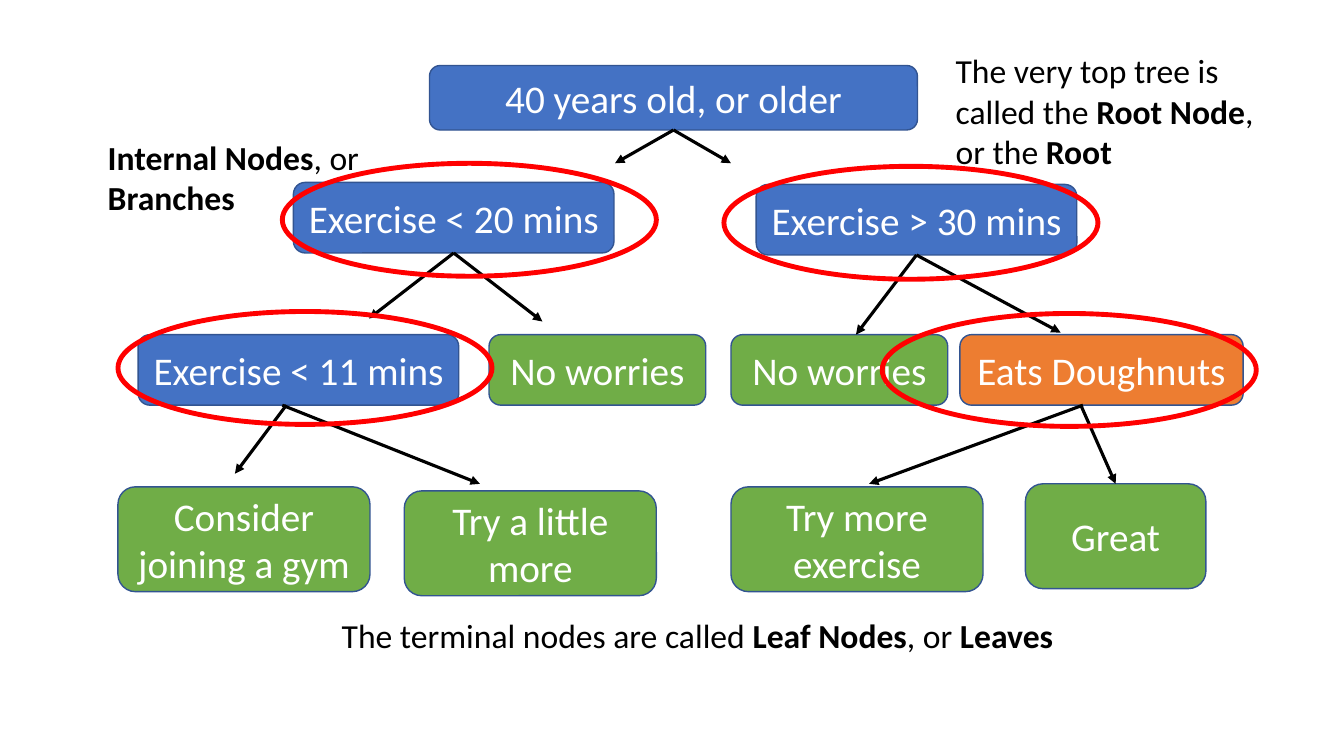
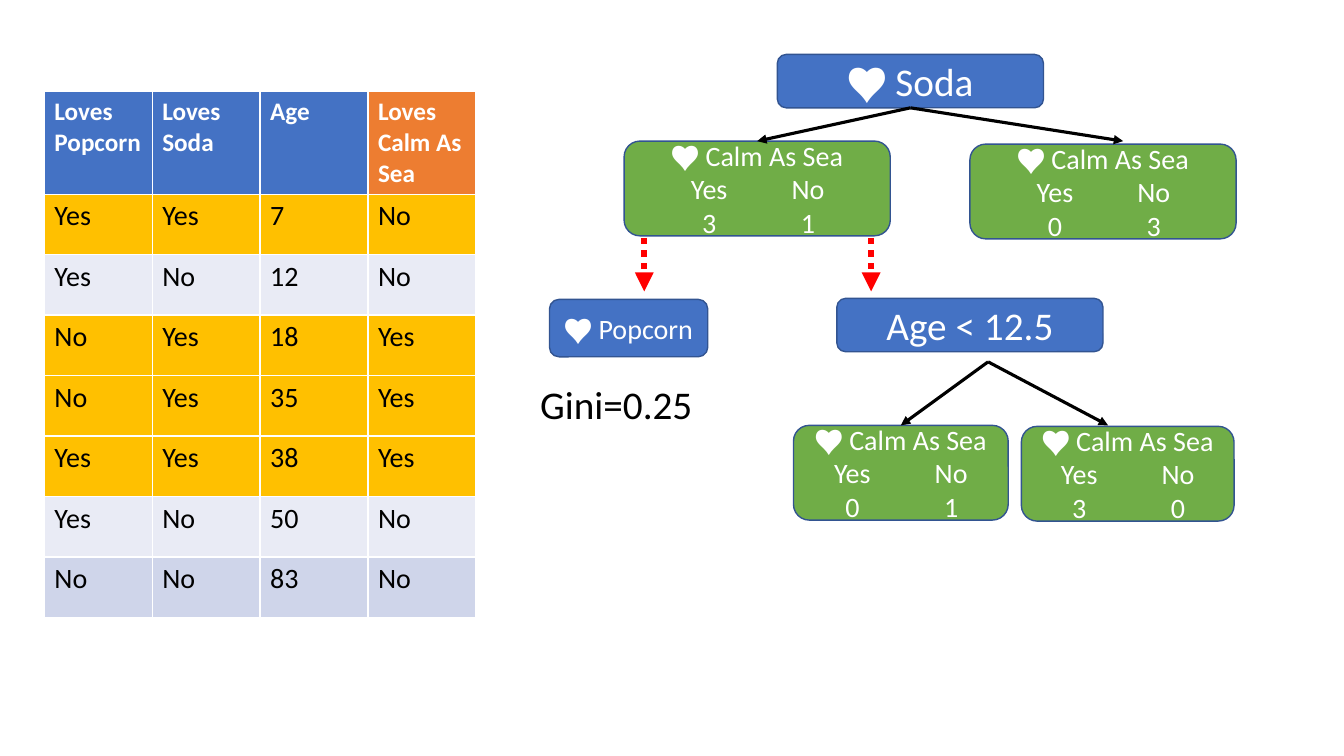
import pptx
import pptx.dml.color
import pptx.enum.dml
import pptx.enum.shapes
import pptx.enum.text
import pptx.oxml
import pptx.oxml.ns
import pptx.util

EMU_PER_PX = 9144  # 100 px to the inch
BLACK, WHITE, RED = "000000", "FFFFFF", "FF0000"
BLUE, GREEN, ORANGE, YELLOW = "4472C4", "70AD47", "ED7D31", "FFC000"
OUTLINE, LIGHT_BAND, DARK_BAND = "325491", "E9EBF5", "CFD5EA"
TOP, BOTTOM = 0, 2
SHAPES = pptx.enum.shapes.MSO_SHAPE
FILM = "Calm As Sea"


def px(length):
    return pptx.util.Emu(length * EMU_PER_PX)


def color(value):
    return pptx.dml.color.RGBColor.from_string(value)


def add_xml(parent, xml):
    element = pptx.oxml.parse_xml(xml.replace(">", f" {pptx.oxml.ns.nsdecls('a')}>", 1))
    parent.append(element)


class TreeDeck:
    FONT = "Calibri"

    def __init__(self):
        self.deck = pptx.Presentation()
        self.deck.slide_width, self.deck.slide_height = px(1333), px(750)
        self.page = None

    def new_page(self):
        self.page = self.deck.slides.add_slide(self.deck.slide_layouts[6])

    def style(self, span, size, ink, bold=False):
        span.font.name = self.FONT
        span.font.size = pptx.util.Pt(size)
        span.font.bold = bold
        span.font.color.rgb = color(ink)

    def shape(self, kind, left, top, width, height, fill, line, line_width):
        shape = self.page.shapes.add_shape(kind, px(left), px(top), px(width), px(height))
        shape.shadow.inherit = False
        if fill:
            shape.fill.solid()
            shape.fill.fore_color.rgb = color(fill)
        else:
            shape.fill.background()
        shape.line.color.rgb = color(line)
        shape.line.width = pptx.util.Pt(line_width)
        return shape

    def node(self, text, left, top, width, height, fill=BLUE, size=28):
        box = self.shape(SHAPES.ROUNDED_RECTANGLE, left, top, width, height, fill, OUTLINE, 1)
        frame = box.text_frame
        frame.word_wrap = True
        frame.vertical_anchor = pptx.enum.text.MSO_ANCHOR.MIDDLE
        frame.text = text
        for para in frame.paragraphs:
            para.alignment = pptx.enum.text.PP_ALIGN.CENTER
            for span in para.runs:
                self.style(span, size, WHITE)
        return box

    def leaf(self, yes, no, left, top, width):
        """Green node with the Yes and No counts in two centred columns."""
        text = f"♥︎ {FILM}\n\tYes\tNo\n\t{yes}\t{no}"
        box = self.node(text, left, top, width, 94, GREEN, 20)
        middle, column_offset = width // 2 - 13, 49
        for para in box.text_frame.paragraphs[1:]:
            para.alignment = pptx.enum.text.PP_ALIGN.LEFT
            stops = "".join(
                f'<a:tab pos="{px(stop)}" algn="ctr"/>'
                for stop in (middle - column_offset, middle + column_offset))
            add_xml(para._p.get_or_add_pPr(), f"<a:tabLst>{stops}</a:tabLst>")
        return box

    def ring(self, left, top):
        self.shape(SHAPES.OVAL, left, top, 371, 112, None, RED, 3.5)

    def note(self, text, left, top, width, height, size=24):
        """Text box; words between double asterisks are bold."""
        box = self.page.shapes.add_textbox(px(left), px(top), px(width), px(height))
        box.text_frame.word_wrap = True
        para = box.text_frame.paragraphs[0]
        for index, part in enumerate(text.split("**")):
            if part:
                span = para.add_run()
                span.text = part
                self.style(span, size, BLACK, bold=index % 2 == 1)

    def arrow(self, start, end, ink=BLACK, width=2.25, dash=None):
        """Arrow from a point or a node's bottom to a point or a node's top."""
        start_point = start if isinstance(start, tuple) else (0, 0)
        end_point = end if isinstance(end, tuple) else (0, 0)
        arrow = self.page.shapes.add_connector(
            pptx.enum.shapes.MSO_CONNECTOR.STRAIGHT,
            *(px(value) for value in start_point + end_point))
        if start is not start_point:
            arrow.begin_connect(start, BOTTOM)
        if end is not end_point:
            arrow.end_connect(end, TOP)
        arrow.line.color.rgb = color(ink)
        arrow.line.width = pptx.util.Pt(width)
        if dash:
            arrow.line.dash_style = dash
        add_xml(arrow.line._get_or_add_ln(), '<a:tailEnd type="triangle"></a:tailEnd>')
        add_xml(arrow._element.spPr, "<a:effectLst></a:effectLst>")

    def table(self, rows, fills, left, top, column_width, header_height, row_height):
        height = header_height + row_height * (len(rows) - 1)
        table = self.page.shapes.add_table(
            len(rows), len(rows[0]), px(left), px(top),
            px(column_width * len(rows[0])), px(height)).table
        for column in table.columns:
            column.width = px(column_width)
        for index, (values, row_fills) in enumerate(zip(rows, fills)):
            header = index == 0
            table.rows[index].height = px(header_height if header else row_height)
            for cell, value, fill in zip(table.rows[index].cells, values, row_fills):
                cell.text = value
                cell.fill.solid()
                cell.fill.fore_color.rgb = color(fill)
                span = cell.text_frame.paragraphs[0].runs[0]
                if header:
                    self.style(span, 18, WHITE, bold=True)
                else:
                    self.style(span, 20, BLACK)


def build_node_names(tree):
    tree.new_page()
    root = tree.node("40 years old, or older", 426, 65, 484, 64)
    under_20 = tree.node("Exercise < 20 mins", 291, 181, 318, 70)
    over_30 = tree.node("Exercise > 30 mins", 750, 183, 318, 70)
    tree.node("Exercise < 11 mins", 137, 332, 318, 70)
    for left in (485, 725):
        tree.node("No worries", left, 332, 215, 70, GREEN)
    for text, left, top in (("Consider joining a gym", 117, 483),
                            ("Try a little more", 401, 487),
                            ("Try more exercise", 725, 483)):
        tree.node(text, left, top, 250, 104, GREEN)
    great = tree.node("Great", 1017, 480, 179, 104, GREEN)
    tree.node("Eats Doughnuts", 952, 332, 281, 70, ORANGE)

    for start, end in ((root, (610, 162)), (root, (725, 162)),
                       (under_20, (366, 316)), (under_20, (538, 319)),
                       (over_30, (849, 332)), (over_30, (1052, 330)),
                       ((284, 402), (233, 470)), ((280, 402), (476, 480)),
                       ((1074, 402), (862, 480)), ((1072, 402), great)):
        tree.arrow(start, end)

    tree.note("The very top tree is called the **Root Node**, or the **Root**",
              938, 45, 337, 135)
    for left, top in ((280, 162), (718, 165), (117, 309), (875, 311)):
        tree.ring(left, top)
    tree.note("**Internal Nodes**, or **Branches**", 97, 131, 299, 90)
    tree.note("The terminal nodes are called** Leaf Nodes**, or** Leaves**",
              329, 605, 751, 50)


def build_soda_tree(tree):
    tree.new_page()
    rows = [("Loves Popcorn", "Loves Soda", "Age", f"Loves {FILM}"),
            ("Yes", "Yes", "7", "No"),
            ("Yes", "No", "12", "No"),
            ("No", "Yes", "18", "Yes"),
            ("No", "Yes", "35", "Yes"),
            ("Yes", "Yes", "38", "Yes"),
            ("Yes", "No", "50", "No"),
            ("No", "No", "83", "No")]
    fills = [[BLUE, BLUE, BLUE, ORANGE]]
    for index, row in enumerate(rows[1:]):
        loves_soda = row[1] == "Yes"
        band = LIGHT_BAND if index % 2 else DARK_BAND
        fills.append([YELLOW if loves_soda else band] * len(row))
    tree.table(rows, fills, 44, 91, 107, 100, 60)

    soda = tree.node("♥︎ Soda", 771, 54, 264, 53)
    loves_soda_leaf = tree.leaf(3, 1, 619, 140, 264)
    tree.leaf(0, 3, 962, 143, 264)
    younger_leaf = tree.leaf(0, 1, 787, 422, 213)
    tree.leaf(3, 0, 1013, 423, 211)
    for start, end in ((soda, loves_soda_leaf), (soda, (1114, 140)),
                       ((980, 359), younger_leaf), ((980, 359), (1099, 422))):
        tree.arrow(start, end)
    for x in (639, 864):
        tree.arrow((x, 236), (x, 289), RED, 4.5, pptx.enum.dml.MSO_LINE.ROUND_DOT)
    tree.node("Age < 12.5", 830, 296, 264, 53)
    tree.node("♥︎ Popcorn", 545, 297, 157, 57, size=20)
    tree.note("Gini=0.25", 526, 372, 226, 57, 28)


def main():
    tree = TreeDeck()
    build_node_names(tree)
    build_soda_tree(tree)
    tree.deck.save("out.pptx")


if __name__ == "__main__":
    main()
